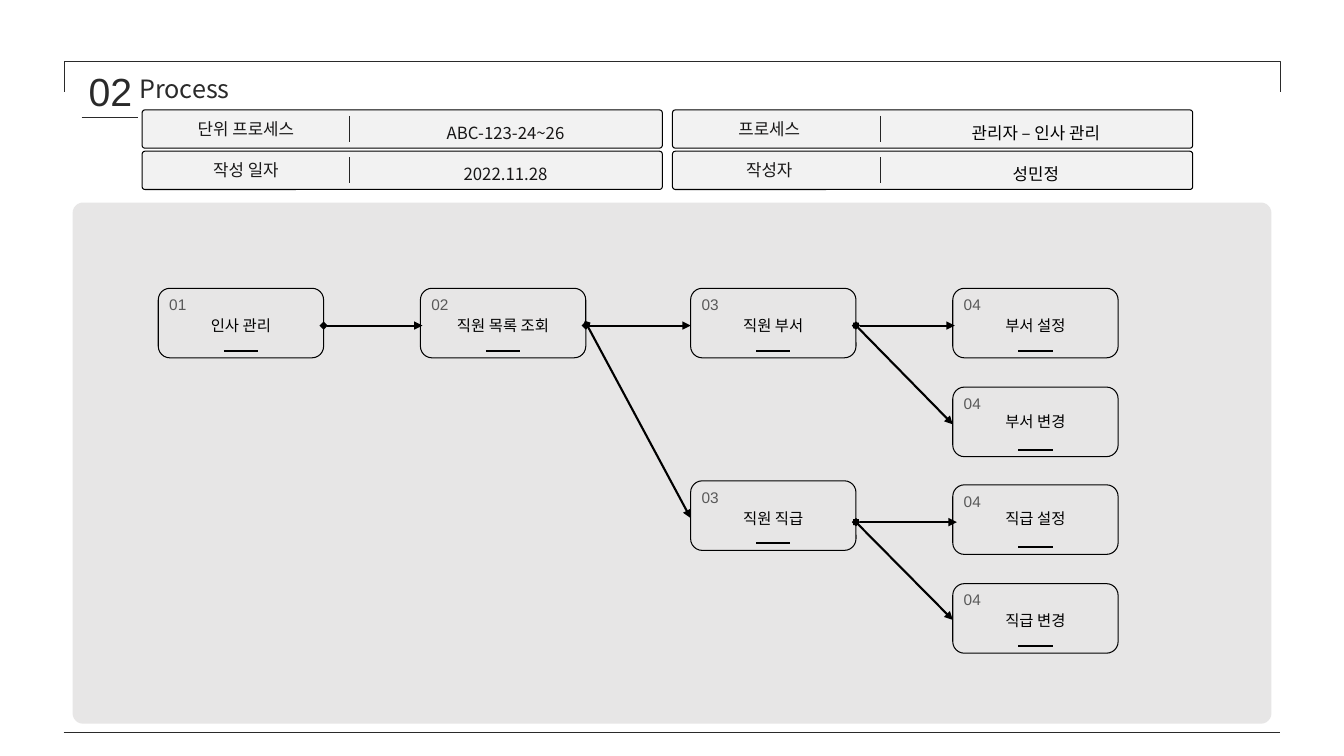
from lxml import etree
from pptx import Presentation
from pptx.dml.color import RGBColor
from pptx.enum.shapes import MSO_CONNECTOR, MSO_SHAPE
from pptx.enum.text import MSO_ANCHOR, PP_ALIGN
from pptx.oxml.ns import qn
from pptx.util import Pt

PX = 9144  # EMU per px, 100 px to the inch
STRAIGHT = MSO_CONNECTOR.STRAIGHT
ROUNDED = MSO_SHAPE.ROUNDED_RECTANGLE
BRACKET = MSO_SHAPE.RIGHT_BRACKET
LEFT, CENTER = PP_ALIGN.LEFT, PP_ALIGN.CENTER
TOP = MSO_ANCHOR.TOP

BLACK = RGBColor(0x00, 0x00, 0x00)
INK = RGBColor(0x18, 0x17, 0x17)
FRAME = RGBColor(0x2A, 0x2A, 0x2A)
DIVIDER = RGBColor(0x24, 0x24, 0x24)
GRAY = RGBColor(0x59, 0x59, 0x59)
PANEL = RGBColor(0xE7, 0xE6, 0xE6)
FIELD = RGBColor(0xF2, 0xF2, 0xF2)

SANS = "Noto Sans CJK KR"
ARIAL = "Arial"

# Header fields: column left, label centre offset, value colour, (label, value) rows
FIELD_COLUMNS = [
    (141, 103, INK, [("단위 프로세스", "ABC-123-24~26"), ("작성 일자", "2022.11.28")]),
    (667, 96, BLACK, [("프로세스", "관리자 – 인사 관리"), ("작성자", "성민정")]),
]
FIELD_TOP, FIELD_STEP = 109, 41

# Process steps: left, top, number, name, name offset
STEPS = [
    (157, 286, "01", "인사 관리", 23),
    (417, 286, "02", "직원 목록 조회", 23),
    (685, 286, "03", "직원 부서", 23),
    (685, 477, "03", "직원 직급", 23),
    (945, 286, "04", "부서 설정", 23),
    (945, 384, "04", "부서 변경", 20),
    (945, 481, "04", "직급 설정", 19),
    (945, 579, "04", "직급 변경", 22),
]

# Flow arrows: from x, y to x, y
FLOWS = [
    (321, 323, 419, 323),
    (581, 323, 685, 323),
    (582, 322, 685, 514),
    (849, 323, 947, 323),
    (849, 323, 945, 421),
    (849, 518, 949, 518),
    (849, 518, 945, 615),
]


def place(shape, x, y, w, h):
    shape.left, shape.top, shape.width, shape.height = (v * PX for v in (x, y, w, h))


def add_box(shapes, kind, x, y, w, h, adjust, fill=None, line=None):
    box = shapes.add_shape(kind, x * PX, y * PX, w * PX, h * PX)
    box.shadow.inherit = False
    box.adjustments[0] = adjust
    if fill is None:
        box.fill.background()
    else:
        box.fill.solid()
        box.fill.fore_color.rgb = fill
    if line is None:
        box.line.fill.background()
    else:
        box.line.color.rgb = line
        box.line.width = Pt(0.75)
    return box


def add_line(shapes, x1, y1, x2, y2, color, width=0.75):
    line = shapes.add_connector(STRAIGHT, x1 * PX, y1 * PX, x2 * PX, y2 * PX)
    line.line.color.rgb = color
    line.line.width = Pt(width)
    etree.SubElement(line._element.spPr, qn("a:effectLst"))
    return line


def add_flow(shapes, x1, y1, x2, y2):
    flow = add_line(shapes, x1, y1, x2, y2, BLACK, 1.5)
    outline = flow.line._get_or_add_ln()
    etree.SubElement(outline, qn("a:headEnd"), type="diamond")
    etree.SubElement(outline, qn("a:tailEnd"), type="triangle")


def write(shape, text, size, color, font, align=LEFT, spacing=None, insets=(10, 5, 10, 5)):
    frame = shape.text_frame
    frame.word_wrap = True
    frame.vertical_anchor = TOP
    frame.margin_left, frame.margin_top, frame.margin_right, frame.margin_bottom = (
        v * PX for v in insets)
    paragraph = frame.paragraphs[0]
    paragraph.text = text
    paragraph.alignment = align
    if spacing:
        paragraph.line_spacing = spacing
    paragraph.font.size = Pt(size)
    paragraph.font.name = font
    paragraph.font.color.rgb = color


def add_text(shapes, x, y, w, h, *content, **layout):
    box = shapes.add_textbox(x * PX, y * PX, w * PX, h * PX)
    write(box, *content, **layout)


def add_field(slide, x, y, label, label_center, value, value_color):
    field = slide.shapes.add_group_shape().shapes
    add_box(field, ROUNDED, x, y, 516, 38, 0.075, FIELD, BLACK)
    add_text(field, x + label_center - 83, y + 1, 166, 33,
             label, 12, INK, SANS, align=CENTER, spacing=1.14)
    add_line(field, x + 206, y + 6, x + 206, y + 32, DIVIDER)
    add_text(field, x + 219, y + 2, 283, 36,
             value, 12, value_color, SANS, align=CENTER, spacing=1.3)


def add_step(slide, x, y, number, name, name_offset):
    step = slide.shapes.add_group_shape().shapes
    add_box(step, ROUNDED, x, y, 164, 69, 0.1667, line=BLACK)
    add_text(step, x + 1, y + 2, 61, 29, number, 11, GRAY, ARIAL)
    add_line(step, x + 65, y + 62, x + 99, y + 62, BLACK, 1.5)
    add_text(step, x, y + name_offset, 164, 29, name, 11, BLACK, ARIAL, align=CENTER)


def add_heading(slide):
    title = slide.shapes.title
    place(title, 134, 71, 126, 34)
    write(title, "Process", 18, FRAME, SANS, insets=(4, 2, 12, 2))
    section = slide.shapes.add_group_shape().shapes
    add_text(section, 88, 67, 49, 79, "02", 28, FRAME, ARIAL, insets=(0, 0, 0, 0))
    add_line(section, 81, 117, 137, 117, FRAME)


def main():
    deck = Presentation()
    deck.slide_width, deck.slide_height = 1333 * PX, 750 * PX
    slide = deck.slides.add_slide(deck.slide_layouts[5])

    # Panel and page frame
    add_box(slide.shapes, ROUNDED, 72, 201, 1189, 517, 0.02, PANEL)
    top_frame = add_box(slide.shapes, BRACKET, 652, -527, 30, 1206, 0, line=FRAME)
    top_frame.rotation = 270
    add_line(slide.shapes, 63, 727, 1270, 727, FRAME)

    # Header
    add_heading(slide)
    for x, label_center, color, rows in FIELD_COLUMNS:
        for row, (label, value) in enumerate(rows):
            add_field(slide, x, FIELD_TOP + row * FIELD_STEP,
                      label, label_center, value, color)

    # Process flow
    for step in STEPS:
        add_step(slide, *step)
    for flow in FLOWS:
        add_flow(slide.shapes, *flow)

    deck.save("out.pptx")


if __name__ == "__main__":
    main()
